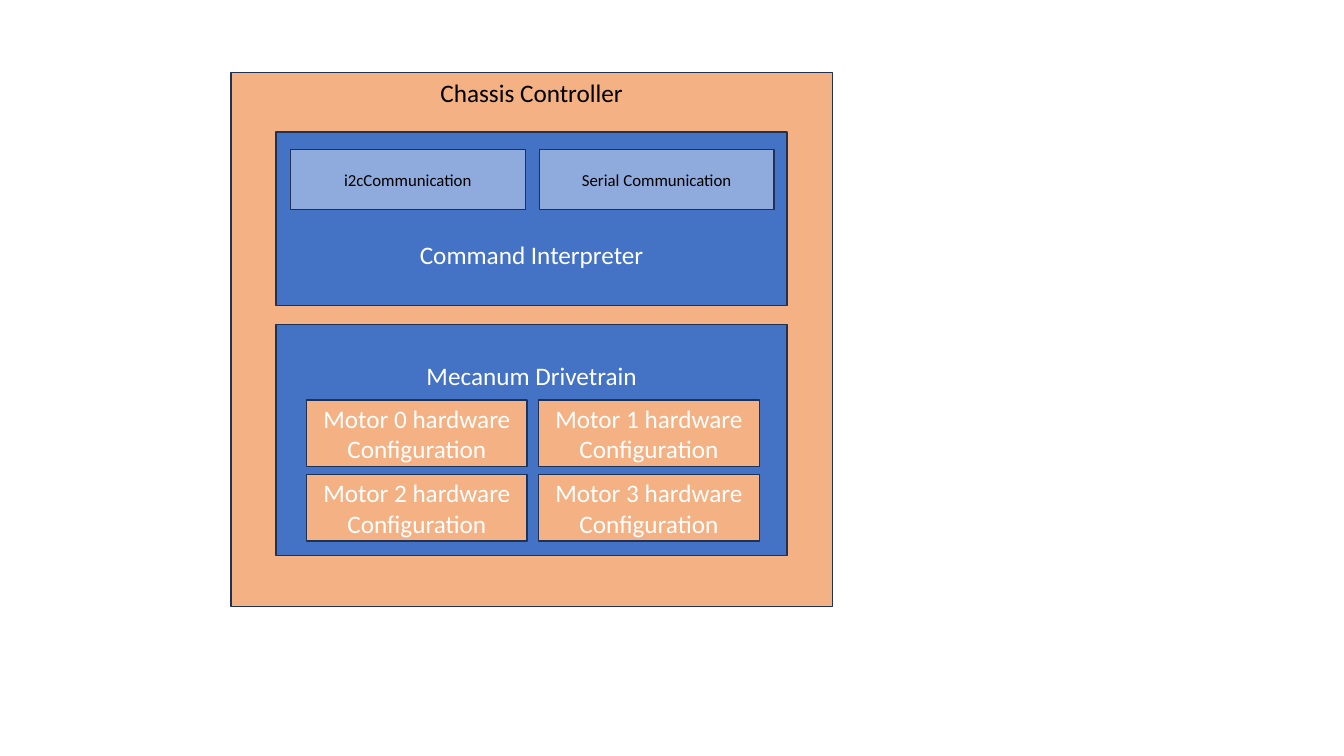
from pptx import Presentation
from pptx.dml.color import RGBColor
from pptx.enum.shapes import MSO_SHAPE
from pptx.enum.text import MSO_ANCHOR, PP_ALIGN
from pptx.util import Pt

RECT = MSO_SHAPE.RECTANGLE
TOP, MIDDLE, BOTTOM = MSO_ANCHOR.TOP, MSO_ANCHOR.MIDDLE, MSO_ANCHOR.BOTTOM
CENTER = PP_ALIGN.CENTER
COLORS = {
    "orange": "F4B183",
    "blue": "4472C4",
    "light": "8FAADC",
    "edge": "1E3256",
    "black": "000000",
    "white": "FFFFFF",
}


def color(name):
    return RGBColor.from_string(COLORS[name])


class Diagram:
    font = "Calibri"
    edge = "edge"
    inset = 3.6

    def __init__(self, slide):
        self.slide = slide

    def group(self):
        return self.slide.shapes.add_group_shape()

    def box(self, text, left, top, width, height, fill, ink="white",
            size=18, anchor=MIDDLE, pad=inset, parent=None):
        shapes = (parent or self.slide).shapes
        shape = shapes.add_shape(RECT, Pt(left), Pt(top), Pt(width), Pt(height))
        shape.shadow.inherit = False
        shape.fill.solid()
        shape.fill.fore_color.rgb = color(fill)
        shape.line.color.rgb = color(self.edge)
        shape.line.width = Pt(1)
        frame = shape.text_frame
        frame.word_wrap = True
        frame.vertical_anchor = anchor
        frame.margin_top = Pt(pad if anchor == TOP else self.inset)
        frame.margin_bottom = Pt(pad if anchor == BOTTOM else self.inset)
        line = frame.paragraphs[0]
        line.text = text
        line.alignment = CENTER
        line.font.name = self.font
        line.font.size = Pt(size)
        line.font.color.rgb = color(ink)


def main():
    deck = Presentation()
    deck.slide_width, deck.slide_height = Pt(960), Pt(540)
    diagram = Diagram(deck.slides.add_slide(deck.slide_layouts[6]))

    diagram.box("Chassis Controller", 164.9, 51.8, 429.8, 381.6, "orange",
                "black", anchor=TOP)
    diagram.box("Mecanum Drivetrain", 197.3, 231.8, 365, 164.9, "blue",
                anchor=TOP, pad=25.6)

    command = diagram.group()
    diagram.box("Command Interpreter", 197.3, 94.3, 365, 123.8, "blue",
                anchor=BOTTOM, pad=25.6, parent=command)
    for col, name in enumerate(("i2cCommunication", "Serial Communication")):
        diagram.box(name, 207.4 + col * 177.8, 106.6, 167.8, 43.2, "light",
                    "black", size=12, parent=command)

    for motor in range(4):
        row, col = divmod(motor, 2)
        diagram.box(f"Motor {motor} hardware Configuration",
                    218.9 + col * 165.8, 285.8 + row * 53.3, 157.7, 47.5,
                    "orange")

    deck.save("out.pptx")


if __name__ == "__main__":
    main()
